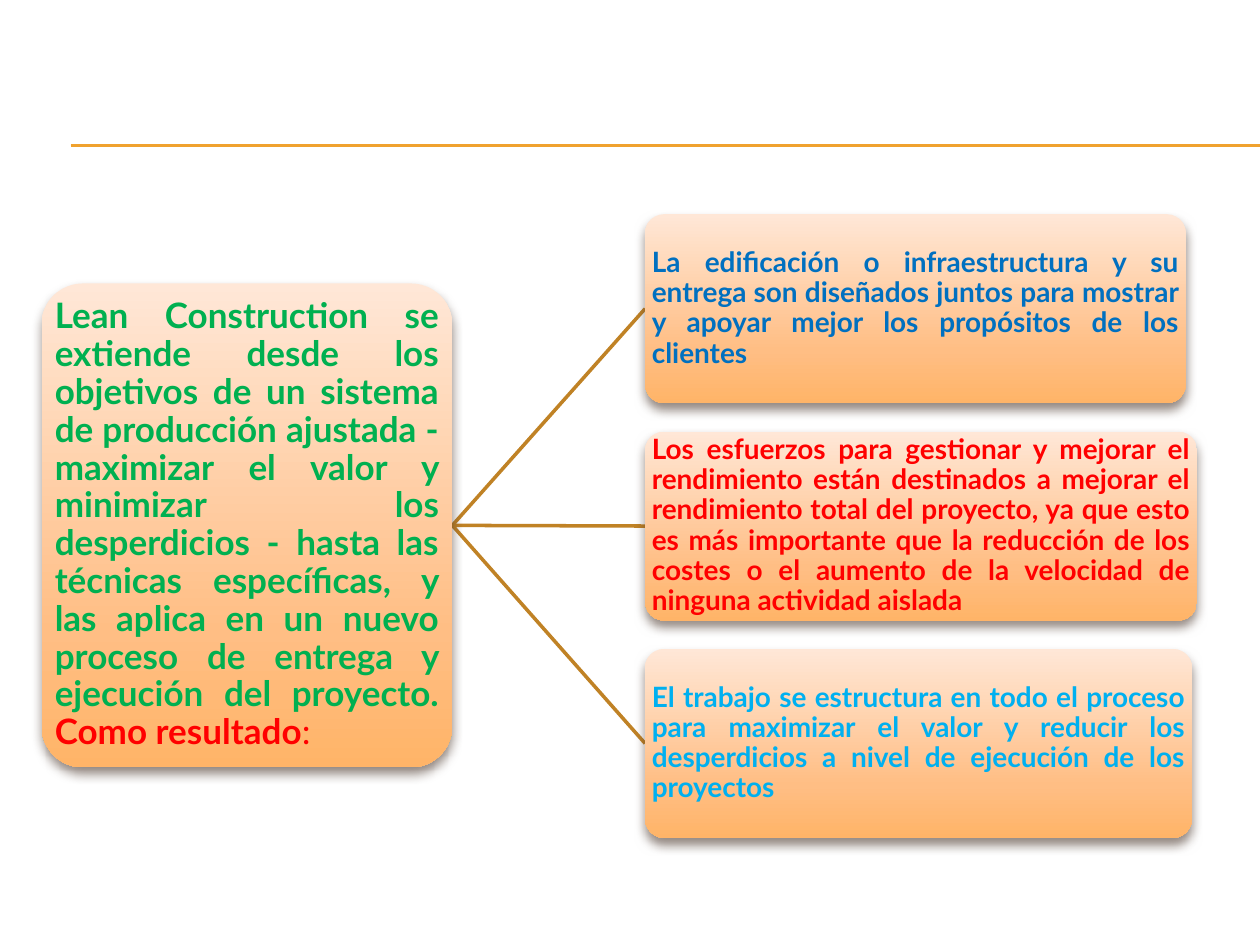
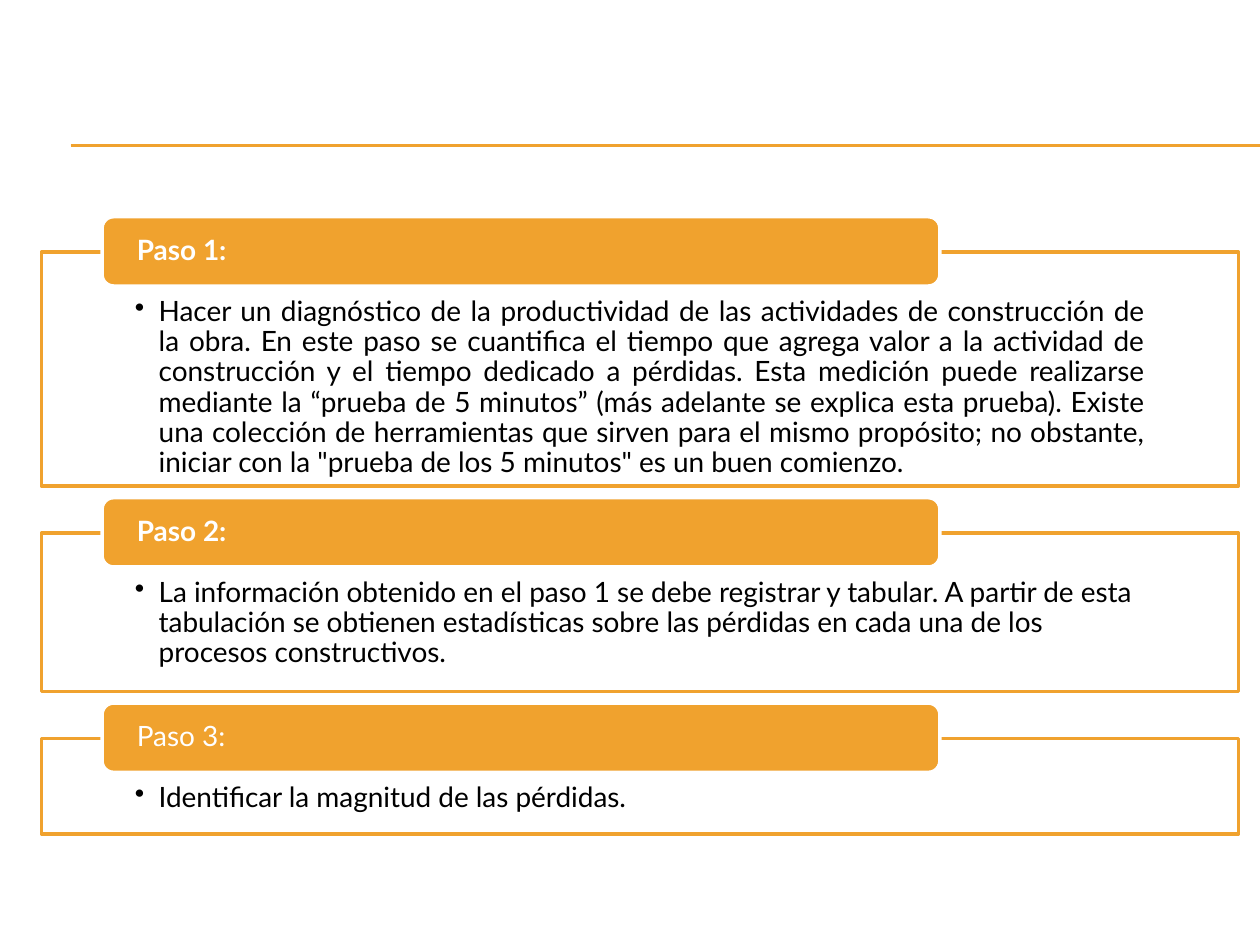
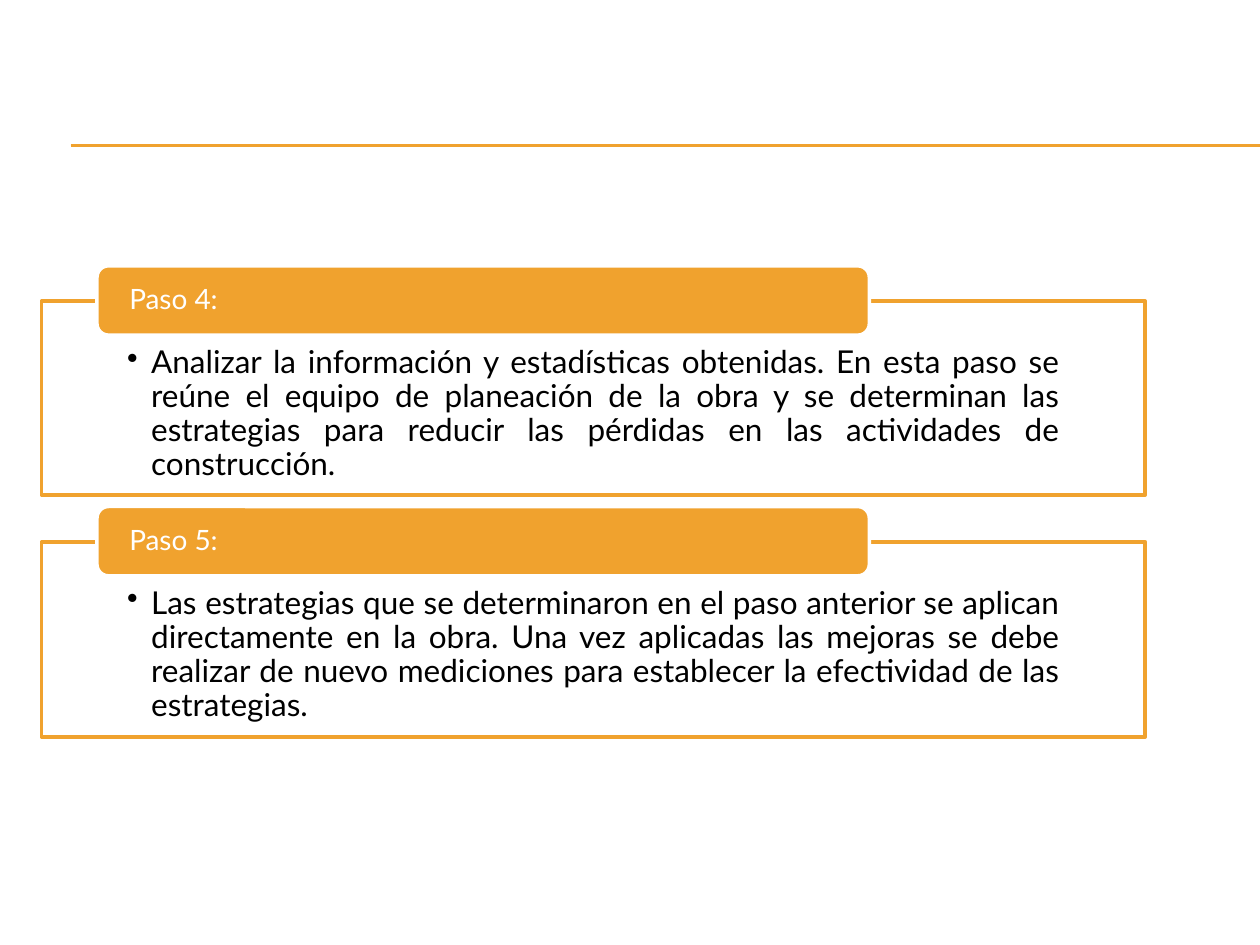
"""Build three slides on Lean Construction: its outcomes and five steps."""
from lxml.etree import SubElement
from pptx import Presentation
from pptx.dml.color import RGBColor
from pptx.enum.shapes import MSO_CONNECTOR, MSO_SHAPE
from pptx.enum.text import MSO_ANCHOR, PP_ALIGN
from pptx.oxml import parse_xml
from pptx.oxml.ns import nsdecls, qn
from pptx.util import Inches, Pt

FONT = "Lato"
AMBER = RGBColor(0xF0, 0xA2, 0x2E)
BRONZE = RGBColor(0xC0, 0x82, 0x25)
WHITE = RGBColor(0xFF, 0xFF, 0xFF)
BLACK = RGBColor(0x00, 0x00, 0x00)
GREEN = RGBColor(0x00, 0xB0, 0x50)
RED = RGBColor(0xFF, 0x00, 0x00)
BLUE = RGBColor(0x00, 0x70, 0xC0)
SKY = RGBColor(0x00, 0xB0, 0xF0)
PEACH_STOPS = [
    (0, RGBColor(0xFF, 0xE7, 0xD7)),
    (72, RGBColor(0xFF, 0xBE, 0x84)),
    (100, RGBColor(0xFF, 0xB4, 0x68)),
]
SHADOW = RGBColor(0x4E, 0x3B, 0x30)


def add_line(s, x1, y1, x2, y2, color, width):
    cx = s.shapes.add_connector(
        MSO_CONNECTOR.STRAIGHT, Inches(x1), Inches(y1), Inches(x2), Inches(y2))
    cx.line.color.rgb = color
    cx.line.width = Pt(width)
    SubElement(cx._element.spPr, qn("a:effectLst"))


def add_box(s, kind, box, runs, size, align, insets, anchor=MSO_ANCHOR.MIDDLE):
    sp = s.shapes.add_shape(kind, *[Inches(v) for v in box])
    sp.shadow.inherit = False
    tf = sp.text_frame
    tf.word_wrap = True
    tf.vertical_anchor = anchor
    tf.margin_left, tf.margin_top, tf.margin_right, tf.margin_bottom = [
        Inches(v) for v in insets]
    p = tf.paragraphs[0]
    p.alignment = align
    p.line_spacing = 0.9
    for text, color, bold in runs:
        r = p.add_run()
        r.text = text
        r.font.name = FONT
        r.font.size = Pt(size)
        r.font.bold = bold
        r.font.color.rgb = color
    return sp


prs = Presentation()
prs.slide_width = Inches(10)
prs.slide_height = Inches(7.5)
slides = [prs.slides.add_slide(prs.slide_layouts[6]) for _ in range(3)]
for s in slides:
    for y in (1.15, 1.16):
        add_line(s, 0.56, y, 10, y, AMBER, 0.75)

s = slides[0]
CARD_LEFT, CARD_TOP, CARD_HEIGHT, CARD_PITCH = 5.12, 1.7, 1.5, 3.45 / 2
outcomes = [
    (4.29, BLUE, "La edificación o infraestructura y su entrega son diseñados juntos "
     "para mostrar y apoyar mejor los propósitos de los clientes"),
    (4.38, RED, "Los esfuerzos para gestionar y mejorar el rendimiento están destinados "
     "a mejorar el rendimiento total del proyecto, ya que esto es más importante que la "
     "reducción de los costes o el aumento de la velocidad de ninguna actividad aislada"),
    (4.34, SKY, "El trabajo se estructura en todo el proceso para maximizar el valor y "
     "reducir los desperdicios a nivel de ejecución de los proyectos"),
]
cards = [((0.33, 2.25, 3.26, 3.84), 20, [
    ("Lean Construction se extiende desde los objetivos de un sistema de producción "
     "ajustada - maximizar el valor y minimizar los desperdicios - hasta las técnicas "
     "específicas, y las aplica en un nuevo proceso de entrega y ejecución del proyecto. ",
     GREEN, True),
    ("Como resultado", RED, True),
    (": ", RED, False),
])]
for i, (width, color, text) in enumerate(outcomes):
    top = CARD_TOP + i * CARD_PITCH
    add_line(s, 3.59, 4.17, CARD_LEFT, top + CARD_HEIGHT / 2, BRONZE, 2)
    cards.append(((CARD_LEFT, top, width, CARD_HEIGHT), 16, [(text, color, True)]))

stops = "".join(
    f'<a:gs pos="{pos * 1000}"><a:srgbClr val="{color}"/></a:gs>'
    for pos, color in PEACH_STOPS)
for box, size, runs in cards:
    sp = add_box(s, MSO_SHAPE.ROUNDED_RECTANGLE, box, runs, size,
                 PP_ALIGN.JUSTIFY, [0.01] * 4)
    sp.adjustments[0] = 0.1
    sp.line.fill.background()
    sp.fill.background()
    spPr = sp._element.spPr
    spPr.replace(spPr.find(qn("a:noFill")), parse_xml(
        f'<a:gradFill {nsdecls("a")} rotWithShape="1"><a:gsLst>{stops}</a:gsLst>'
        '<a:lin ang="5400000" scaled="0"/></a:gradFill>'))
    spPr.find(qn("a:effectLst")).append(parse_xml(
        f'<a:outerShdw {nsdecls("a")} blurRad="{Pt(6)}" dist="{Pt(4)}" dir="5400000" '
        f'rotWithShape="0"><a:srgbClr val="{SHADOW}"><a:alpha val="60000"/></a:srgbClr>'
        '</a:outerShdw>'))

BODY_LEFT, STEP_GAP, LABEL_RISE, LABEL_HEIGHT = 0.33, 0.37, 0.28, 0.55
JUSTIFY, LEFT = PP_ALIGN.JUSTIFY, PP_ALIGN.LEFT
step_slides = [
    (slides[1], 2, 9.5, 16, (0.74, 0.36, 0.74, 0.12), (0.81, 6.65, 0.25), [
        ("Paso 1: ", True, 1.86, JUSTIFY,
         "Hacer un diagnóstico de la productividad de las actividades de construcción de "
         "la obra. En este paso se cuantifica el tiempo que agrega valor a la actividad de "
         "construcción y el tiempo dedicado a pérdidas. Esta medición puede realizarse "
         "mediante la “prueba de 5 minutos” (más adelante se explica esta prueba). Existe "
         "una colección de herramientas que sirven para el mismo propósito; no obstante, "
         "iniciar con la \"prueba de los 5 minutos\" es un buen comienzo."),
        ("Paso 2: ", True, 1.26, LEFT,
         "La información obtenido en el paso 1 se debe registrar y tabular. A partir de "
         "esta tabulación se obtienen estadísticas sobre las pérdidas en cada una de los "
         "procesos constructivos."),
        ("Paso 3: ", False, 0.76, LEFT, "Identificar la magnitud de las pérdidas."),
    ]),
    (slides[2], 2.39, 8.76, 18, (0.68, 0.36, 0.68, 0.14), (0.77, 6.13, 0.23), [
        ("Paso 4: ", False, 1.54, JUSTIFY,
         "Analizar la información y estadísticas obtenidas. En esta paso se reúne el equipo "
         "de planeación de la obra y se determinan las estrategias para reducir las "
         "pérdidas en las actividades de construcción."),
        ("Paso 5:", False, 1.55, JUSTIFY,
         "Las estrategias que se determinaron en el paso anterior se aplican directamente "
         "en la obra. Una vez aplicadas las mejoras se debe realizar de nuevo mediciones "
         "para establecer la efectividad de las estrategias. "),
    ]),
]
for s, top, width, size, insets, (label_left, label_width, label_inset), steps in step_slides:
    for label, bold, height, align, text in steps:
        body = add_box(s, MSO_SHAPE.RECTANGLE, (BODY_LEFT, top, width, height),
                       [(text, BLACK, False)], size, align, insets, MSO_ANCHOR.TOP)
        body.fill.solid()
        body.fill.fore_color.rgb = WHITE
        white = body._element.spPr.find(qn("a:solidFill")).find(qn("a:srgbClr"))
        SubElement(white, qn("a:alpha"), val="90000")
        body.line.color.rgb = AMBER
        p = body.text_frame.paragraphs[0]
        p.level = 1
        pPr = p._p.get_or_add_pPr()
        pPr.set("marL", str(Inches(0.19)))
        pPr.set("indent", str(-Inches(0.19)))
        SubElement(pPr, qn("a:buChar"), char="•")

        tab = add_box(s, MSO_SHAPE.ROUNDED_RECTANGLE,
                      (label_left, top - LABEL_RISE, label_width, LABEL_HEIGHT),
                      [(label, WHITE, bold)], 16, LEFT, (label_inset, 0, label_inset, 0))
        tab.fill.solid()
        tab.fill.fore_color.rgb = AMBER
        tab.line.color.rgb = WHITE
        for sp in (body, tab):
            sp.line.width = Pt(2)
        top += height + STEP_GAP

prs.save("out.pptx")
